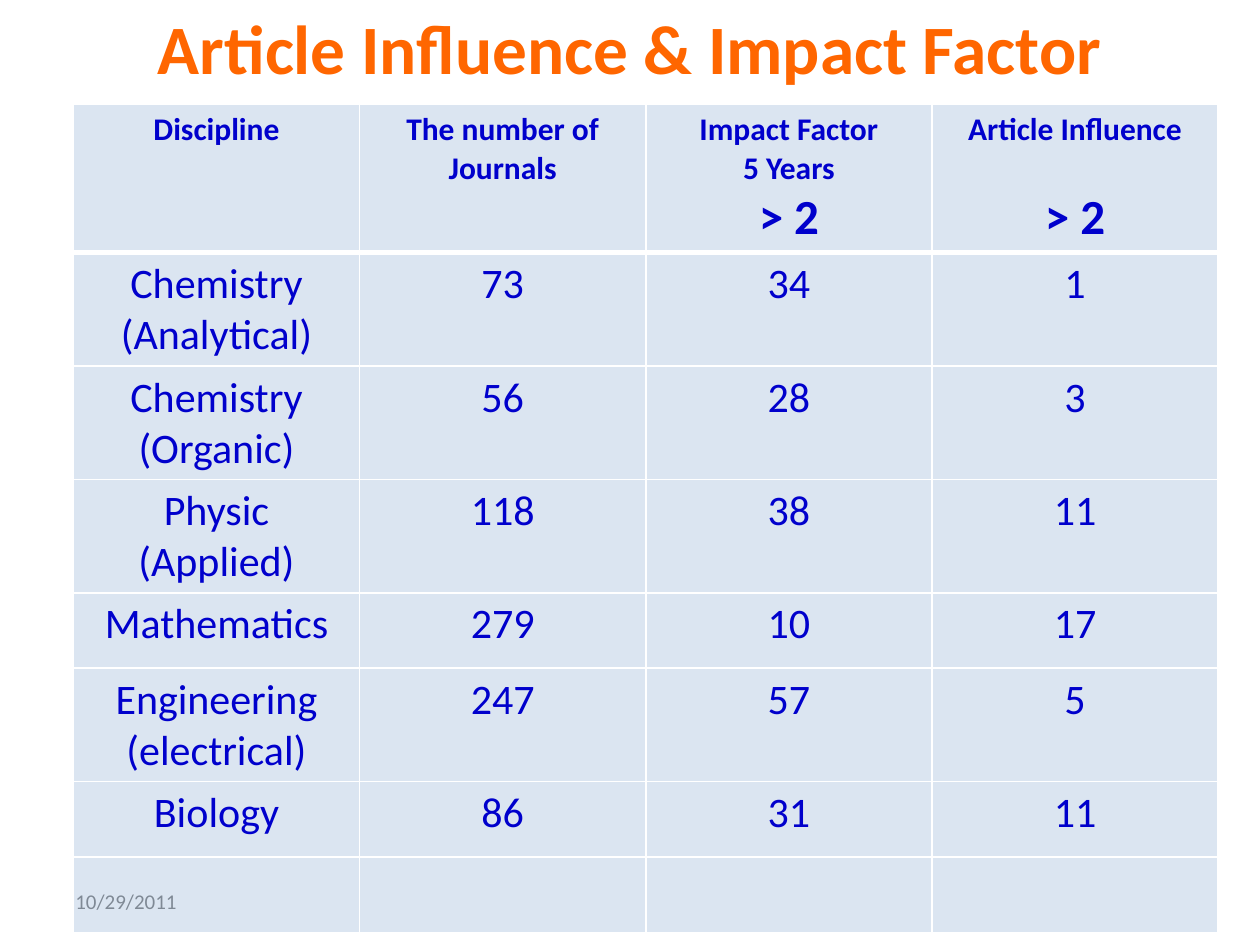
from lxml import etree
from pptx import Presentation
from pptx.dml.color import RGBColor
from pptx.enum.text import MSO_ANCHOR, PP_ALIGN
from pptx.oxml.ns import qn
from pptx.util import Cm, Pt

MID, TOP = MSO_ANCHOR.MIDDLE, MSO_ANCHOR.TOP
LEFT, MIDDLE = PP_ALIGN.LEFT, PP_ALIGN.CENTER
FONT, BLUE, TINT, WHITE = "Calibri", "0000CC", "4F81BD", "FFFFFF"

TITLE = "Article Influence & Impact Factor"
DATE = "10/29/2011"
# Each heading: lines of (text, size, space before)
HEADS = [
    [("Discipline", 18, 0)],
    [("The number of Journals", 18, 0)],
    [("Impact Factor", 18, 0), ("5 Years", 18, 0), ("> 2", 28, 0)],
    [("Article Influence", 18, 0), ("> 2", 28, 22)],
]
ROWS = [
    ("Chemistry (Analytical)", 73, 34, 1),
    ("Chemistry (Organic)", 56, 28, 3),
    ("Physic (Applied)", 118, 38, 11),
    ("Mathematics", 279, 10, 17),
    ("Engineering (electrical)", 247, 57, 5),
    ("Biology", 86, 31, 11),
    ("", "", "", ""),
]
COL, ROW = Cm(5.77), Cm(1.52)


def color(code):
    """Turn a hex string into a colour."""
    return RGBColor.from_string(code)


def write(frame, lines, ink=BLUE, bold=False, align=MIDDLE):
    """Fill a text frame with lines of (text, size, space before)."""
    frame.word_wrap = True
    for i, (text, size, gap) in enumerate(lines):
        para = frame.add_paragraph() if i else frame.paragraphs[0]
        para.alignment = align
        para.space_before = Pt(gap)
        para.font.size = Pt(size)
        if text:
            run = para.add_run()
            run.text = text
            font = run.font
            font.name, font.size, font.bold = FONT, Pt(size), bold
            font.color.rgb = color(ink)


def label(slide, box, text, size, **form):
    """Add a text box with one line, centred in height."""
    frame = slide.shapes.add_textbox(*(Cm(n) for n in box)).text_frame
    write(frame, [(text, size, 0)], **form)
    frame.vertical_anchor = MID


def tint(cell):
    """Give a cell its fill at 20 % opacity."""
    cell.fill.solid()
    cell.fill.fore_color.rgb = color(TINT)
    shade = cell._tc.tcPr.find(".//" + qn("a:srgbClr"))
    etree.SubElement(shade, qn("a:alpha"), val="20000")


def edge(cell, **wide):
    """Draw white cell borders, 1 pt unless a side is named."""
    props = cell._tc.get_or_add_tcPr()
    for i, side in enumerate("LRTB"):
        line = etree.Element(qn("a:ln" + side), w=str(Pt(wide.get(side, 1))))
        fill = etree.SubElement(line, qn("a:solidFill"))
        etree.SubElement(fill, qn("a:srgbClr"), val=WHITE)
        props.insert(i, line)


def grid(slide):
    """Add the table of disciplines."""
    count = len(ROWS) + 1
    table = slide.shapes.add_table(count, len(HEADS), Cm(1.48), Cm(2.11),
                                   COL * len(HEADS), ROW * count).table
    table.horz_banding = False
    body = [[[(str(val), 24 if val else 18, 0)] for val in row] for row in ROWS]
    for r, row in enumerate([HEADS] + body):
        table.rows[r].height = ROW
        for c, lines in enumerate(row):
            cell = table.cell(r, c)
            write(cell.text_frame, lines, bold=r == 0)
            cell.vertical_anchor = TOP
            tint(cell)
            edge(cell, **{0: {"B": 3}, 1: {"T": 3}}.get(r, {}))


def main():
    """Build and save the slide."""
    deck = Presentation()
    deck.slide_width, deck.slide_height = Cm(25.4), Cm(19.05)
    slide = deck.slides.add_slide(deck.slide_layouts[6])
    label(slide, (1.27, 17.65, 5.92, 1.02), DATE, 12, ink="8C8C8C", align=LEFT)
    label(slide, (1.27, 0.2, 22.86, 1.47), TITLE, 39.6, ink="FF6600", bold=True)
    grid(slide)
    deck.save("out.pptx")


main()
